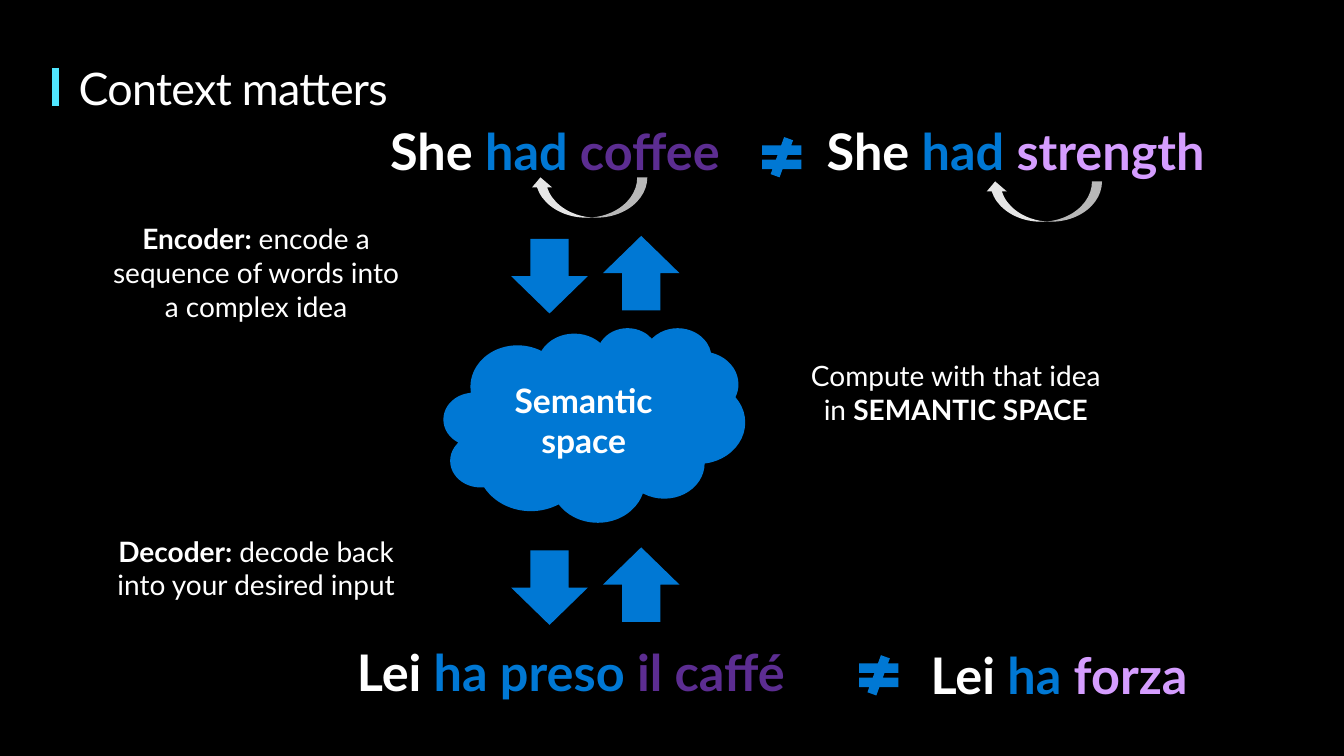
from pptx import Presentation
from pptx.dml.color import RGBColor
from pptx.enum.shapes import MSO_CONNECTOR, MSO_SHAPE
from pptx.enum.text import MSO_ANCHOR, PP_ALIGN
from pptx.oxml.ns import qn
from pptx.util import Pt
from lxml import etree

# Content
WHITE, BLUE, PURPLE, LILAC = "FFFFFF", "0078D4", "5C2D91", "D59DFF"
CYAN, GREY, BLACK = "50E6FF", "E6E6E6", "000000"

TITLE = "Context matters"
# Sentences: left, top, width, words with colours
SENTENCES = [
    (387, 119, 395, [("She ", WHITE), ("had ", BLUE), ("coffee", PURPLE)]),
    (820, 119, 456, [("She ", WHITE), ("had ", BLUE), ("strength", LILAC)]),
    (354, 636, 470, [("Lei ", WHITE), ("ha preso ", BLUE), ("il caffé", PURPLE)]),
    (923, 639, 470, [("Lei ", WHITE), ("ha ", BLUE), ("forza", LILAC)]),
]
# Notes: left, top, height, parts with bold flag
NOTES = [
    (108, 220, 101, [("Encoder: ", True),
                     ("encode a sequence of words into a complex idea", False)]),
    (802, 356, 67, [("Compute with that idea in ", False), ("SEMANTIC SPACE", True)]),
    (108, 530, 67, [("Decoder: ", True), ("decode back into your desired input", False)]),
]
CLOUD_TEXT = "Semantic space"
ARROW_ROWS = [236, 545]
CONTEXT_ARROWS = [(564, 138), (1015, 142)]
NOT_EQUALS = [(749, 136), (845, 650)]

# Scale: 100 px to the inch
PX = 9144


def px(*lengths):
    return [n * PX for n in lengths]


def rgb(color):
    return RGBColor.from_string(color)


def set_frame(tf, x_inset=0, y_inset=0, anchor=MSO_ANCHOR.TOP):
    tf.word_wrap = True
    tf.margin_left = tf.margin_right = x_inset * PX
    tf.margin_top = tf.margin_bottom = y_inset * PX
    tf.vertical_anchor = anchor


def add_run(p, text, size, color=WHITE, bold=False, spacing=None):
    r = p.add_run()
    r.text = text
    r.font.name, r.font.size, r.font.bold = "Lato", Pt(size), bold
    r.font.color.rgb = rgb(color)
    if spacing is not None:
        r.font._element.set("spc", str(spacing))


def add_text(s, box, align=PP_ALIGN.LEFT):
    tf = s.shapes.add_textbox(*px(*box)).text_frame
    set_frame(tf)
    p = tf.paragraphs[0]
    p.alignment = align
    return p


def add_figure(s, kind, box, color=BLUE, rotation=0):
    sp = s.shapes.add_shape(kind, *px(*box))
    sp.shadow.inherit = False
    sp.fill.solid()
    sp.fill.fore_color.rgb = rgb(color)
    sp.line.fill.background()
    sp.rotation = rotation
    return sp


def main():
    prs = Presentation()
    prs.slide_width, prs.slide_height = px(1333, 750)
    s = prs.slides.add_slide(prs.slide_layouts[6])
    s.background.fill.solid()
    s.background.fill.fore_color.rgb = rgb(BLACK)

    # Title and its accent bar
    add_run(add_text(s, (78, 60, 1255, 54)), TITLE, 32, spacing=-50)
    bar = s.shapes.add_connector(MSO_CONNECTOR.STRAIGHT, *px(55, 67, 55, 105))
    bar.line.color.rgb = rgb(CYAN)
    bar.line.width = Pt(4.5)
    etree.SubElement(bar._element.spPr, qn("a:effectLst"))

    # Sentences in both languages
    for left, top, width, words in SENTENCES:
        p = add_text(s, (left, top, width, 61))
        for word, color in words:
            add_run(p, word, 36, color, bold=True)

    # Arrows from each object back to its verb
    for left, top in CONTEXT_ARROWS:
        add_figure(s, MSO_SHAPE.CURVED_LEFT_ARROW, (left, top, 40, 116), GREY, 90)

    # Down and up arrows above and below the cloud
    for top in ARROW_ROWS:
        add_figure(s, MSO_SHAPE.RIGHT_ARROW, (508, top, 74, 76), rotation=90)
        add_figure(s, MSO_SHAPE.RIGHT_ARROW, (599, top - 3, 74, 76), rotation=270)

    # Cloud
    tf = add_figure(s, MSO_SHAPE.CLOUD, (440, 325, 299, 193)).text_frame
    set_frame(tf, 20, 16, MSO_ANCHOR.MIDDLE)
    tf.paragraphs[0].alignment = PP_ALIGN.CENTER
    add_run(tf.paragraphs[0], CLOUD_TEXT, 24, bold=True)

    # Notes beside the cloud
    for left, top, height, parts in NOTES:
        p = add_text(s, (left, top, 292, height), PP_ALIGN.CENTER)
        for text, bold in parts:
            add_run(p, text, 20, bold=bold)

    # Not-equal signs
    for left, top in NOT_EQUALS:
        add_figure(s, MSO_SHAPE.MATH_NOT_EQUAL, (left, top, 53, 40))

    prs.save("out.pptx")


if __name__ == "__main__":
    main()
